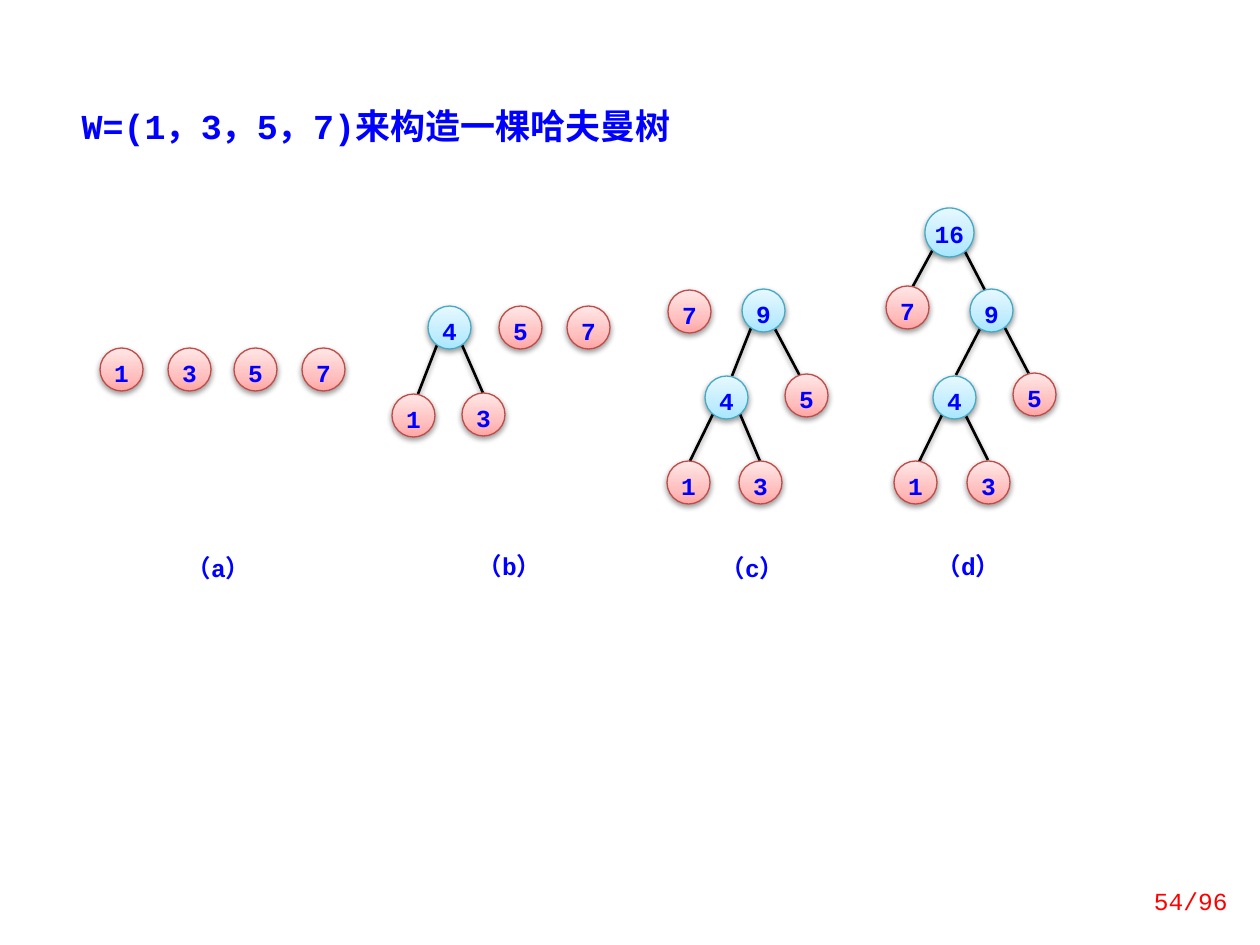
from lxml.etree import SubElement
from pptx import Presentation
from pptx.dml.color import RGBColor
from pptx.enum.shapes import MSO_CONNECTOR, MSO_SHAPE
from pptx.enum.text import MSO_ANCHOR, MSO_AUTO_SIZE, PP_ALIGN
from pptx.oxml.ns import qn
from pptx.util import Pt

PX = 914400 / 126
FONT = "Courier New"
BLUE = RGBColor(0x00, 0x00, 0xFF)
RED = RGBColor(0xFF, 0x00, 0x00)
BLACK = RGBColor(0x00, 0x00, 0x00)
LEAF_LINE = RGBColor(0xBF, 0x4C, 0x48)
LEAF_STOPS = (RGBColor(0xFF, 0xA6, 0xA5), RGBColor(0xFF, 0xC0, 0xBF), RGBColor(0xFF, 0xE7, 0xE7))
INNER_LINE = RGBColor(0x46, 0xAA, 0xC5)
INNER_STOPS = (RGBColor(0xA7, 0xE6, 0xFF), RGBColor(0xC1, 0xED, 0xFF), RGBColor(0xE7, 0xF8, 0xFF))
STOP_POSITIONS = (0, 35000, 100000)
LEAVES = {"1", "3", "5", "7"}
NODE_SIZE = 43
ROOT_SIZE = 49

STEPS = [
    {
        "origin": (100, 348),
        "nodes": [("1", 0, 0), ("3", 68, 0), ("5", 134, 0), ("7", 202, 0)],
        "edges": [],
        "label": ("（a）", 75, 201),
    },
    {
        "origin": (392, 306),
        "nodes": [("4", 36, 0), ("5", 107, 0), ("7", 175, 0), ("1", 0, 88), ("3", 70, 87)],
        "edges": [(70, 39, 91, 87), (45, 39, 26, 88)],
        "label": ("（b）", 74, 241),
    },
    {
        "origin": (667, 289),
        "nodes": [("9", 75, 0), ("4", 38, 87), ("1", 0, 172), ("7", 1, 1),
                  ("5", 118, 85), ("3", 72, 172)],
        "edges": [(84, 39, 65, 87), (108, 40, 133, 87), (73, 125, 93, 172), (46, 125, 23, 172)],
        "label": ("（c）", 42, 260),
    },
    {
        "origin": (886, 208),
        "nodes": [("16", 39, 0), ("9", 84, 81), ("4", 47, 168), ("1", 8, 253),
                  ("7", 0, 78), ("5", 127, 165), ("3", 81, 253)],
        "edges": [(77, 202, 102, 252), (75, 36, 102, 88), (97, 115, 70, 167),
                  (56, 207, 33, 254), (51, 34, 20, 91), (119, 120, 143, 166)],
        "label": ("（d）", 39, 339),
    },
]


def px(*lengths):
    return [round(length * PX) for length in lengths]


def add_shadow(shape):
    properties = shape._element.spPr
    effects = SubElement(properties, qn("a:effectLst"))
    shadow = SubElement(effects, qn("a:outerShdw"), blurRad="40000", dist="20000",
                        dir="5400000", rotWithShape="0")
    color = SubElement(shadow, qn("a:srgbClr"), val=str(BLACK))
    SubElement(color, qn("a:alpha"), val="38000")


def set_gradient(shape, colors):
    shape.fill.gradient()
    gradient = shape._element.spPr.find(qn("a:gradFill"))
    for child in list(gradient):
        gradient.remove(child)
    stops = SubElement(gradient, qn("a:gsLst"))
    for position, color in zip(STOP_POSITIONS, colors):
        stop = SubElement(stops, qn("a:gs"), pos=str(position))
        SubElement(stop, qn("a:srgbClr"), val=str(color))
    SubElement(gradient, qn("a:lin"), ang="16200000", scaled="0")


def format_text(paragraph, size, color, bold, alignment):
    paragraph.alignment = alignment
    paragraph.font.name = FONT
    paragraph.font.size = Pt(size)
    paragraph.font.bold = bold
    paragraph.font.color.rgb = color


def write_caption(shape, text):
    frame = shape.text_frame
    frame.word_wrap = True
    frame.vertical_anchor = MSO_ANCHOR.TOP
    frame.margin_left = frame.margin_top = frame.margin_right = frame.margin_bottom = 0
    paragraph = frame.paragraphs[0]
    paragraph.text = text
    paragraph.line_spacing = Pt(19)
    format_text(paragraph, 14, BLUE, True, PP_ALIGN.CENTER)


def add_edge(group, *ends):
    edge = group.shapes.add_connector(MSO_CONNECTOR.STRAIGHT, *px(*ends))
    edge.line.color.rgb = BLACK
    edge.line.width = Pt(1.5)
    add_shadow(edge)


def add_node(group, text, left, top):
    size = ROOT_SIZE if len(text) > 1 else NODE_SIZE
    node = group.shapes.add_shape(MSO_SHAPE.OVAL, *px(left, top, size, size))
    is_leaf = text in LEAVES
    set_gradient(node, LEAF_STOPS if is_leaf else INNER_STOPS)
    node.line.color.rgb = LEAF_LINE if is_leaf else INNER_LINE
    node.line.width = Pt(0.75)
    add_shadow(node)
    write_caption(node, text)


def add_step(slide, origin, nodes, edges, label):
    left, top = origin
    group = slide.shapes.add_group_shape()
    for x1, y1, x2, y2 in edges:
        add_edge(group, left + x1, top + y1, left + x2, top + y2)
    for text, x, y in nodes:
        add_node(group, text, left + x, top + y)
    text, x, y = label
    write_caption(group.shapes.add_textbox(*px(left + x, top + y, 87, 42)), text)


def add_title(slide, left, top, width, height):
    title = slide.shapes.title
    title.left, title.top, title.width, title.height = px(left, top, width, height)
    frame = title.text_frame
    frame.auto_size = MSO_AUTO_SIZE.NONE
    frame.vertical_anchor = MSO_ANCHOR.TOP
    frame.text = "W=(1，3，5，7)来构造一棵哈夫曼树"
    format_text(frame.paragraphs[0], 20, BLUE, True, PP_ALIGN.LEFT)


def add_page_number(slide, left, top, width, height):
    frame = slide.shapes.add_textbox(*px(left, top, width, height)).text_frame
    frame.word_wrap = True
    frame.vertical_anchor = MSO_ANCHOR.MIDDLE
    frame.text = "54/96"
    format_text(frame.paragraphs[0], 14, RED, False, PP_ALIGN.RIGHT)


def main():
    presentation = Presentation()
    presentation.slide_width, presentation.slide_height = px(1260, 945)
    slide = presentation.slides.add_slide(presentation.slide_layouts[5])
    add_title(slide, 69, 98, 767, 55)
    for step in STEPS:
        add_step(slide, **step)
    add_page_number(slide, 1106, 876, 134, 50)
    presentation.save("out.pptx")


if __name__ == "__main__":
    main()
